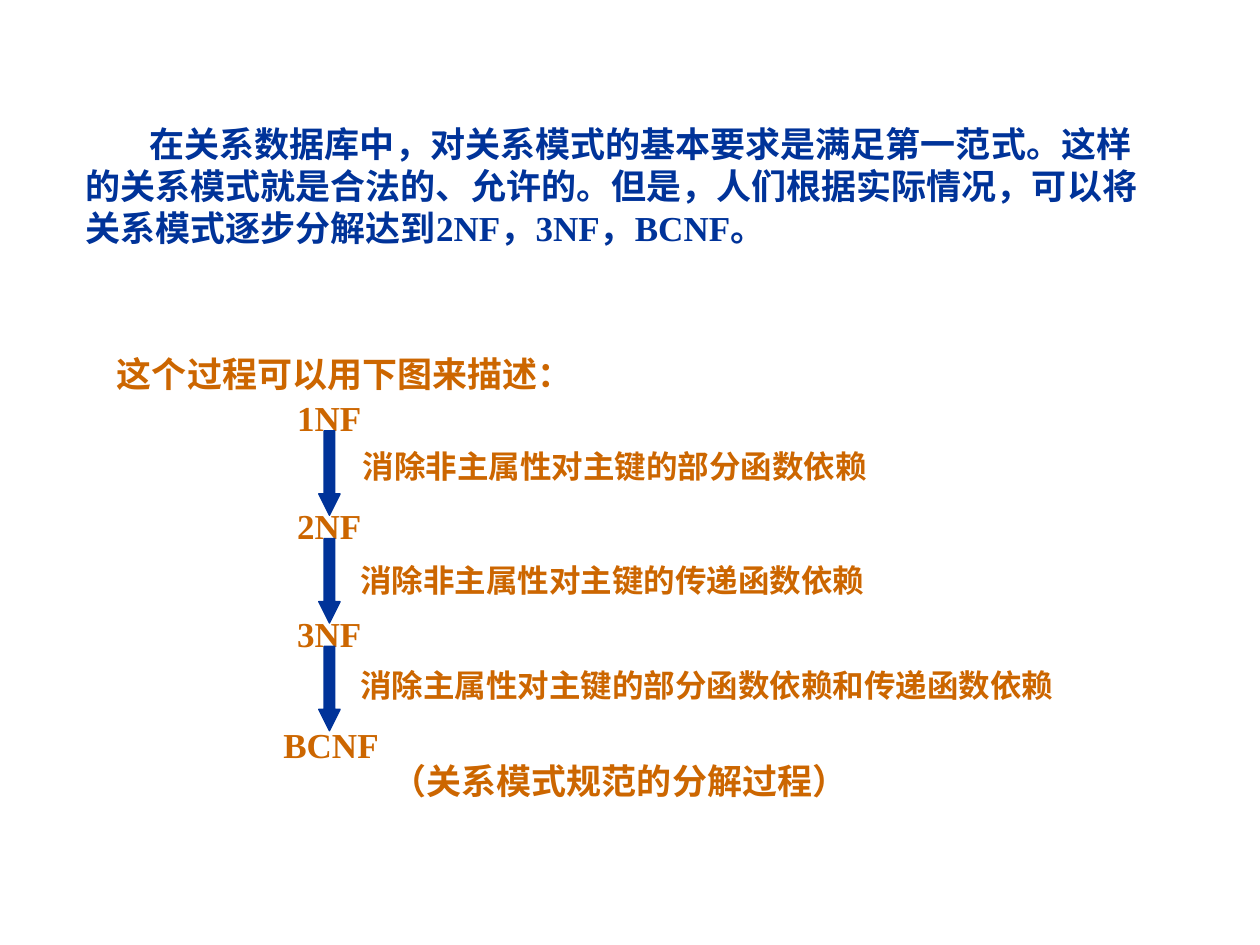
from pptx import Presentation
from pptx.dml.color import RGBColor
from pptx.enum.shapes import MSO_SHAPE
from pptx.enum.text import MSO_AUTO_SIZE
from pptx.util import Inches, Pt

BLUE = RGBColor(0x00, 0x33, 0x99)
ORANGE = RGBColor(0xCC, 0x66, 0x00)


class Board:
    """Style and current slide; places are in one-inch columns and rows."""
    font = "Times New Roman"
    cell = Inches(1)

    def __init__(self, deck):
        self.slide = deck.slides.add_slide(deck.slide_layouts[6])

    def area(self, *cells):
        return [round(n * self.cell) for n in cells]

    def text(self, words, left, top, width, height=0.44, size=20,
             color=ORANGE, indent=0):
        box = self.slide.shapes.add_textbox(
            *self.area(left, top, width, height))
        frame = box.text_frame
        frame.word_wrap = True
        frame.auto_size = MSO_AUTO_SIZE.SHAPE_TO_FIT_TEXT
        frame.text = words
        para = frame.paragraphs[0]
        if indent:
            props = para._p.get_or_add_pPr()
            props.set("marL", "0")
            props.set("indent", str(Inches(indent)))
        font = para.runs[0].font
        font.name, font.size, font.bold = self.font, Pt(size), True
        font.color.rgb = color

    def arrow(self, left, top, width, height):
        shape = self.slide.shapes.add_shape(
            MSO_SHAPE.DOWN_ARROW, *self.area(left, top, width, height))
        shape.adjustments[0] = 0.5
        shape.adjustments[1] = 1
        shape.shadow.inherit = False
        shape.fill.solid()
        shape.fill.fore_color.rgb = BLUE
        shape.line.color.rgb = BLUE
        shape.line.width = Pt(0.75)


def main():
    deck = Presentation()
    deck.slide_width, deck.slide_height = Inches(10), Inches(7.5)
    board = Board(deck)

    # Opening paragraph and lead-in
    board.text("在关系数据库中，对关系模式的基本要求是满足第一范式。这样的关系模式"
               "就是合法的、允许的。但是，人们根据实际情况，可以将关系模式逐步分解"
               "达到2NF，3NF，BCNF。",
               0.58, 0.92, 8.67, 1.1, color=BLUE, indent=0.51)
    board.text("这个过程可以用下图来描述：", 0.83, 2.75, 4.33)

    # Normal forms, each with an arrow and a note on the way to the next
    first, pitch = 3.1, 0.855
    steps = [("1NF", "消除非主属性对主键的部分函数依赖", 2.78, 3.5, 4.83),
             ("2NF", "消除非主属性对主键的传递函数依赖", 2.76, 4.4, 5),
             ("3NF", "消除主属性对主键的部分函数依赖和传递函数依赖",
              2.76, 5.24, 6.42)]
    for i, (form, note, left, top, width) in enumerate(steps):
        row = first + i * pitch
        board.text(form, 2.26, row, 1.08)
        board.arrow(2.53, row + 0.32, 0.17, 0.67)
        board.text(note, left, top, width, 0.4, size=18)

    # Final form and caption
    board.text("BCNF", 2.15, 5.69, 1.08)
    board.text("（关系模式规范的分解过程）", 3.01, 5.98, 5.33)

    deck.save("out.pptx")


if __name__ == "__main__":
    main()
